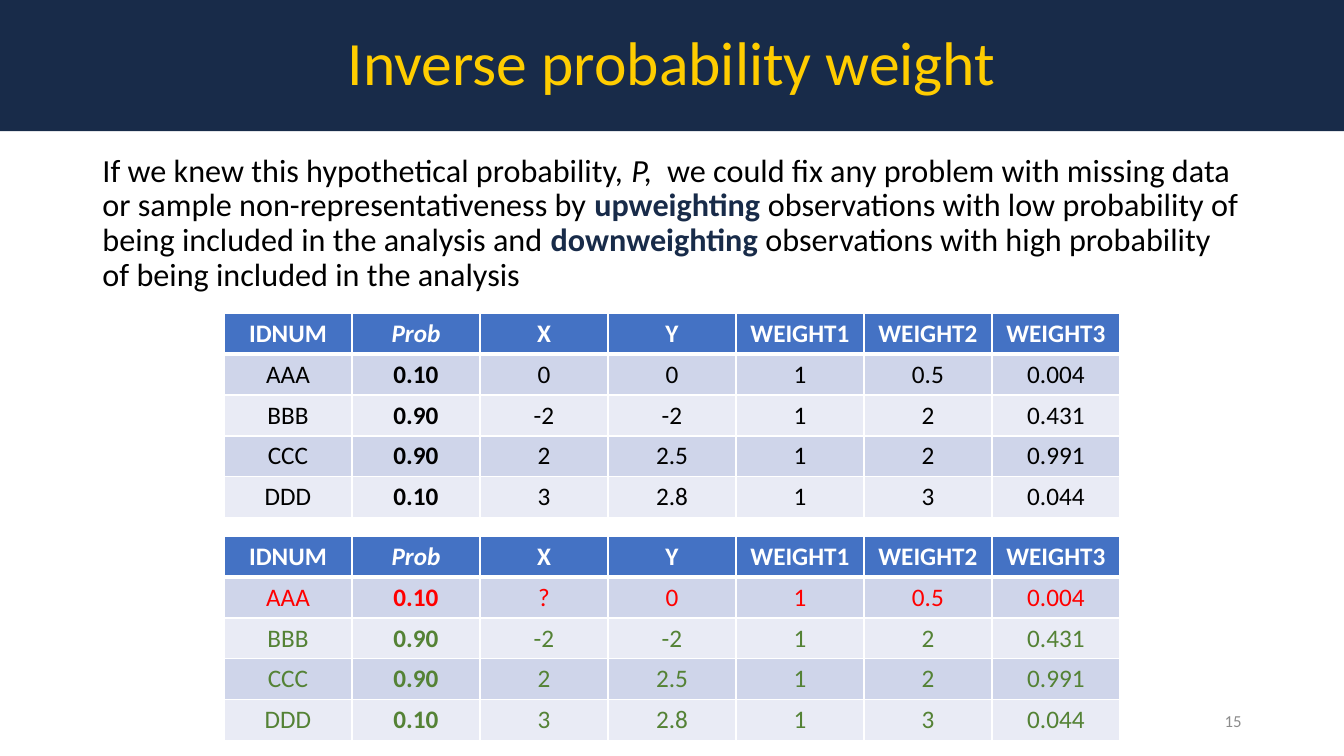
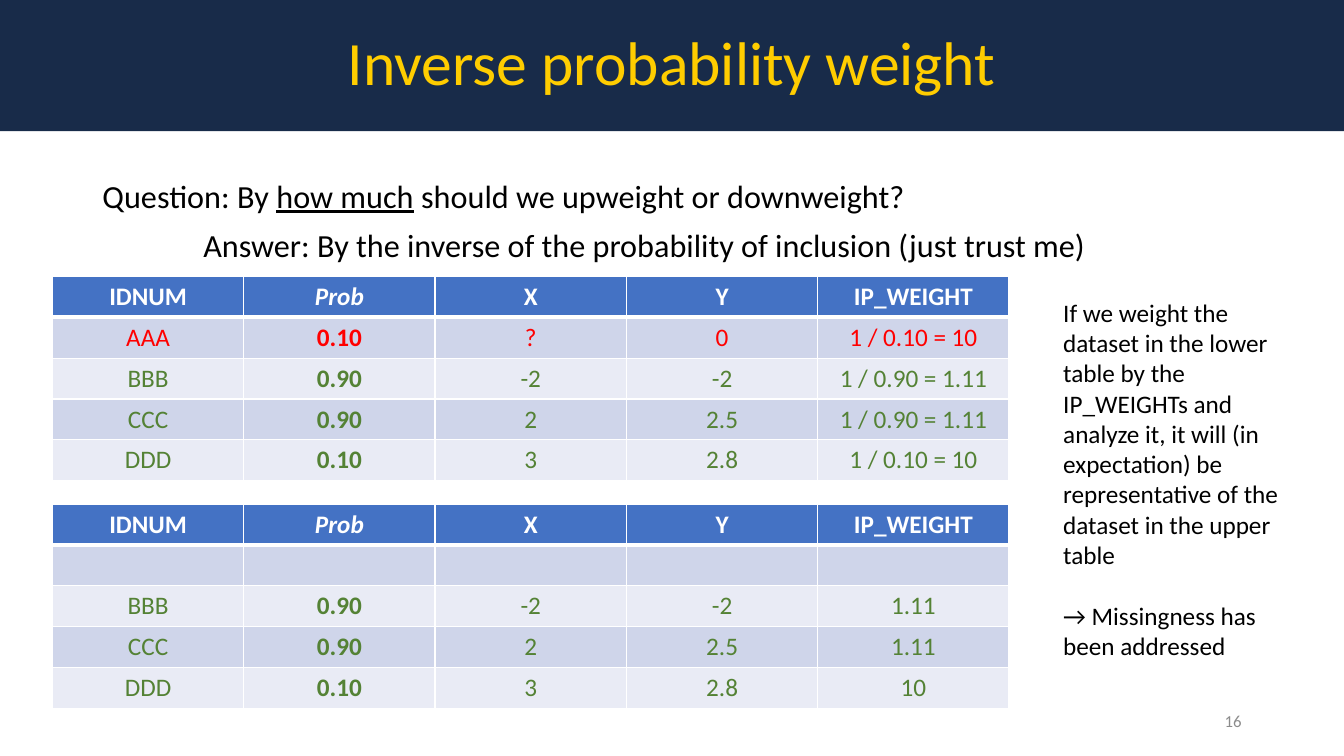
import dataclasses

import pptx
import pptx.dml.color
import pptx.enum.text
import pptx.oxml
import pptx.oxml.ns
import pptx.util

ALIGN = pptx.enum.text.PP_ALIGN
ANCHOR = pptx.enum.text.MSO_ANCHOR


@dataclasses.dataclass(frozen=True)
class Theme:
    font: str = "Calibri"
    navy: str = "182B49"
    gold: str = "FFCD00"
    ink: str = "000000"
    paper: str = "FFFFFF"
    grey: str = "8C8C8C"
    header: str = "4472C4"
    stripes: tuple = ("CFD5EA", "E9EBF5")
    missing: str = "FF0000"
    observed: str = "548235"
    title_size: int = 44
    body_size: int = 23
    text_size: int = 18
    number_size: int = 12
    thin_rule: int = 1
    thick_rule: int = 3


class Slides:
    columns = 160
    rows = 90
    table_row = 4.87

    def __init__(self, theme):
        self.theme = theme
        self.deck = pptx.Presentation()
        self.deck.slide_width = pptx.util.Inches(13.333)
        self.deck.slide_height = pptx.util.Inches(7.5)
        self.page = None

    def across(self, columns):
        return round(self.deck.slide_width * columns / self.columns)

    def down(self, rows):
        return round(self.deck.slide_height * rows / self.rows)

    def area(self, left, top, width, height):
        return self.across(left), self.down(top), self.across(width), self.down(height)

    def place(self, shape, *area):
        shape.left, shape.top, shape.width, shape.height = self.area(*area)

    def paint(self, target, colour):
        target.fill.solid()
        target.fill.fore_color.rgb = pptx.dml.color.RGBColor.from_string(colour)

    def style(self, para, size, colour, **emphasis):
        for span in para.runs:
            font = span.font
            font.name = self.theme.font
            font.size = pptx.util.Pt(size)
            font.color.rgb = pptx.dml.color.RGBColor.from_string(colour)
            for name, value in emphasis.items():
                setattr(font, name, value)

    def start(self, title):
        self.page = self.deck.slides.add_slide(self.deck.slide_layouts[1])
        band = self.page.shapes.title
        self.place(band, 0, 0, self.columns, 15.6)
        self.paint(band, self.theme.navy)
        frame = band.text_frame
        frame.text = title
        frame.auto_size = pptx.enum.text.MSO_AUTO_SIZE.NONE
        frame.vertical_anchor = ANCHOR.MIDDLE
        para = frame.paragraphs[0]
        para.alignment = ALIGN.CENTER
        para.line_spacing = 0.9
        self.style(para, self.theme.title_size, self.theme.gold)

    def body(self, top, *lines):
        box = self.page.placeholders[1]
        self.place(box, 11, top, 138, 57)
        frame = box.text_frame
        frame.auto_size = pptx.enum.text.MSO_AUTO_SIZE.NONE
        for index, (indent, spans) in enumerate(lines):
            para = frame.add_paragraph() if index else frame.paragraphs[0]
            para.line_spacing = 0.9
            para.space_before = pptx.util.Pt(10)
            properties = para._p.get_or_add_pPr()
            properties.set("marL", str(self.across(indent)))
            properties.set("indent", "0")
            pptx.oxml.ns.qn("a:buNone")
            properties.append(pptx.oxml.parse_xml(
                f'<a:buNone {pptx.oxml.ns.nsdecls("a")}/>'))
            for text, _ in spans:
                para.add_run().text = text
            self.style(para, self.theme.body_size, self.theme.ink)
            for span, (_, kind) in zip(para.runs, spans):
                span.font.italic = kind == "italic"
                span.font.underline = kind == "underline"
                span.font.bold = kind == "strong"
                if kind == "strong":
                    span.font.color.rgb = pptx.dml.color.RGBColor.from_string(self.theme.navy)

    def text(self, area, lines, size, colour, align=ALIGN.LEFT, anchor=ANCHOR.TOP, gap=0):
        box = self.page.shapes.add_textbox(*self.area(*area))
        frame = box.text_frame
        frame.word_wrap = True
        frame.vertical_anchor = anchor
        frame.text = "\n".join(lines)
        for index, para in enumerate(frame.paragraphs):
            para.alignment = align
            para.space_before = pptx.util.Pt(gap if index else 0)
            self.style(para, size, colour)

    def number(self, value):
        self.text((113, 83.4, 36, 4.8), [str(value)], self.theme.number_size,
                  self.theme.grey, ALIGN.RIGHT, ANCHOR.MIDDLE)

    def borders(self, cell, row):
        properties = cell._tc.get_or_add_tcPr()
        heavy = {(0, "lnB"), (1, "lnT")}
        for side in ("lnL", "lnR", "lnT", "lnB"):
            points = self.theme.thick_rule if (row, side) in heavy else self.theme.thin_rule
            properties.append(pptx.oxml.parse_xml(
                f'<a:{side} {pptx.oxml.ns.nsdecls("a")} w="{pptx.util.Pt(points)}">'
                f'<a:solidFill><a:srgbClr val="{self.theme.paper}"/></a:solidFill></a:{side}>'))

    def table(self, left, top, width, header, records, colours):
        records = [header, *records]
        colours = [self.theme.paper, *colours]
        area = self.area(left, top, width, self.table_row * len(records))
        grid = self.page.shapes.add_table(len(records), len(header), *area).table
        for column in grid.columns:
            column.width = self.across(width / len(header))
        for row, (record, colour) in enumerate(zip(records, colours)):
            grid.rows[row].height = self.down(self.table_row)
            fill = self.theme.stripes[(row - 1) % 2] if row else self.theme.header
            for column, value in enumerate(record):
                cell = grid.cell(row, column)
                self.borders(cell, row)
                self.paint(cell, fill)
                cell.text = value
                para = cell.text_frame.paragraphs[0]
                para.alignment = ALIGN.CENTER
                probability = header[column] == "Prob"
                self.style(para, self.theme.text_size, colour,
                           bold=row == 0 or probability, italic=row == 0 and probability)


TITLE = "Inverse probability weight"
FIELDS = ["IDNUM", "Prob", "X", "Y"]
COMPLETE = [
    ["AAA", "0.10", "0", "0"],
    ["BBB", "0.90", "-2", "-2"],
    ["CCC", "0.90", "2", "2.5"],
    ["DDD", "0.10", "3", "2.8"],
]
PARTIAL = [["AAA", "0.10", "?", "0"], *COMPLETE[1:]]
WEIGHTS = [
    ["1", "0.5", "0.004"],
    ["1", "2", "0.431"],
    ["1", "2", "0.991"],
    ["1", "3", "0.044"],
]
INVERSES = ["10", "1.11", "1.11", "10"]


def join(records, extras):
    return [record + extra for record, extra in zip(records, extras)]


def weighting_page(slides, status):
    slides.start(TITLE)
    slides.body(17.76, (0, [
        ("If we knew this hypothetical probability, ", ""),
        ("P, ", "italic"),
        (" we could fix any problem with missing data or sample "
         "non-representativeness by ", ""),
        ("upweighting", "strong"),
        (" observations with low probability of being included in the analysis and ", ""),
        ("downweighting", "strong"),
        (" observations with high probability of being included in the analysis", ""),
    ]))
    slides.number(15)
    header = FIELDS + ["WEIGHT1", "WEIGHT2", "WEIGHT3"]
    width = 106.67
    left = (slides.columns - width) / 2
    plain = [slides.theme.ink] * len(COMPLETE)
    for top, records, colours in ((37.3, COMPLETE, plain), (63.84, PARTIAL, status)):
        slides.table(left, top, width, header, join(records, WEIGHTS), colours)


def inverse_page(slides, status):
    slides.start(TITLE)
    slides.body(
        20.88,
        (0, [("Question: By ", ""), ("how much", "underline"),
             (" should we upweight or downweight?", "")]),
        (12, [("Answer: By the inverse of the probability of inclusion (just trust me)", "")]),
    )
    slides.number(16)
    header = FIELDS + ["IP_WEIGHT"]
    formulas = [[f"1 / {record[1]} = {inverse}"] for record, inverse in zip(PARTIAL, INVERSES)]
    upper = join(PARTIAL, formulas)
    lower = join(PARTIAL, [[inverse] for inverse in INVERSES])
    lower[0] = [""] * len(header)
    for top, records in ((32.9, upper), (60, lower)):
        slides.table(6.24, top, 113.9, header, records, status)
    slides.text(
        (125.4, 34.8, 28.3, 44.9),
        ["If we weight the dataset in the lower table by the IP_WEIGHTs and analyze it, "
         "it will (in expectation) be representative of the dataset in the upper table",
         "→ Missingness has been addressed"],
        slides.theme.text_size, slides.theme.ink, gap=22)


def main():
    theme = Theme()
    slides = Slides(theme)
    status = [theme.missing] + [theme.observed] * (len(PARTIAL) - 1)
    weighting_page(slides, status)
    inverse_page(slides, status)
    slides.deck.save("out.pptx")


if __name__ == "__main__":
    main()
